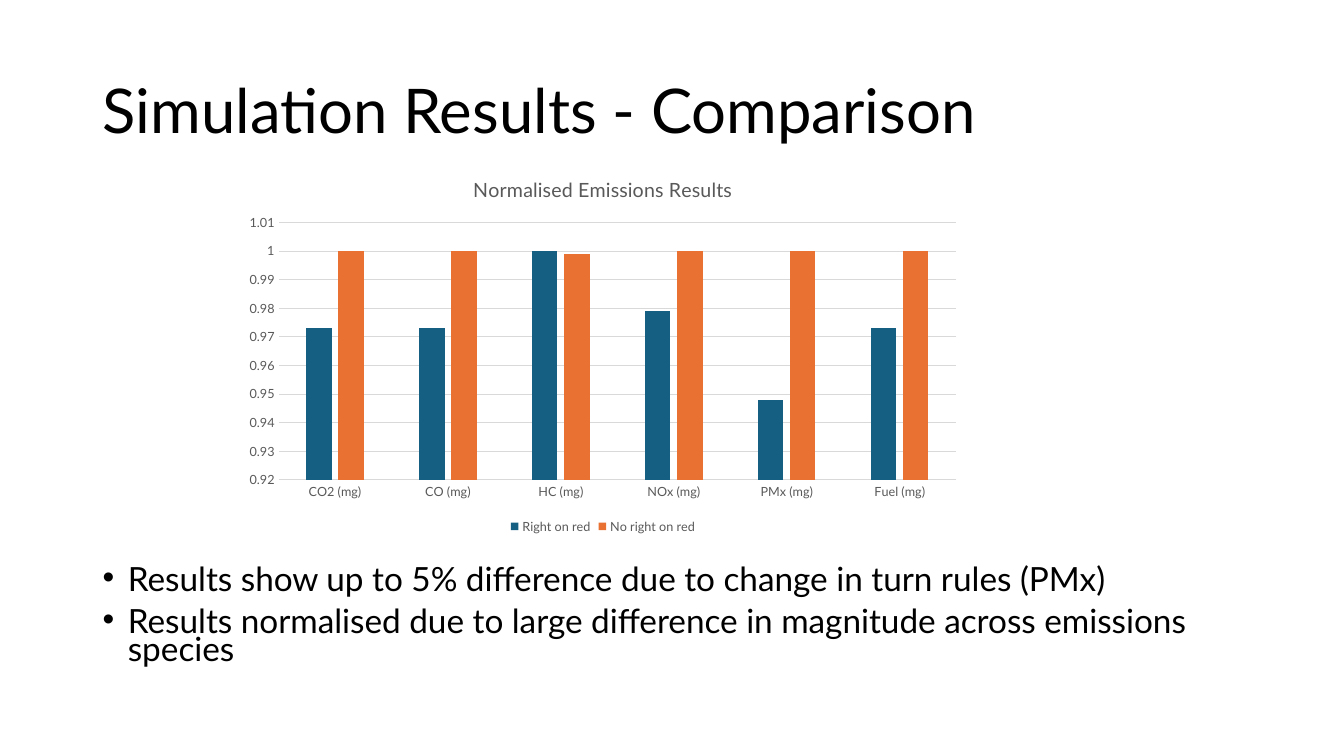
from dataclasses import dataclass

from lxml.etree import SubElement
from pptx import Presentation
from pptx.chart.data import CategoryChartData as ChartData
from pptx.dml.color import RGBColor as Color
from pptx.enum.chart import XL_CHART_TYPE as Kind, XL_LEGEND_POSITION as Place
from pptx.enum.chart import XL_TICK_MARK as Tick
from pptx.enum.text import MSO_ANCHOR as Anchor
from pptx.oxml.ns import qn
from pptx.slide import Slide
from pptx.util import Inches, Pt


@dataclass(frozen=True)
class Theme:
    face: str = "Lato"
    ink: str = "000000"
    gray: str = "595959"
    grid: str = "D9D9D9"
    title: float = 44
    body: float = 23.8
    head: float = 14
    label: float = 9


@dataclass(frozen=True)
class Box:
    left: float
    top: float
    width: float
    height: float

    def place(self) -> tuple:
        return tuple(map(Inches, (self.left, self.top, self.width, self.height)))


@dataclass(frozen=True)
class Series:
    name: str
    color: str
    values: tuple[float, ...]


THEME = Theme()
TITLE = "Simulation Results - Comparison"
POINTS = (
    "Results show up to 5% difference due to change in turn rules (PMx)",
    "Results normalised due to large difference in magnitude across emissions species",
)
GASES = [f"{gas} (mg)" for gas in ("CO2", "CO", "HC", "NOx", "PMx", "Fuel")]
RULES = (
    Series("Right on red", "156082", (0.973, 0.973, 1, 0.979, 0.948, 0.973)),
    Series("No right on red", "E97132", (1, 1, 0.999, 1, 1, 1)),
)


def style(font, size: float, color: str) -> None:
    font.name = THEME.face
    font.size = Pt(size)
    font.color.rgb = Color.from_string(color)


def rule(line) -> None:
    line.color.rgb = Color.from_string(THEME.grid)
    line.width = Pt(0.75)


def add_bullet(para) -> None:
    props = para._p.get_or_add_pPr()
    props.set("marL", str(Inches(0.25)))
    props.set("indent", str(Inches(-0.25)))
    SubElement(props, qn("a:buFont"), typeface="Arial")
    SubElement(props, qn("a:buChar"), char="•")


def add_text(slide: Slide, box: Box, lines: tuple[str, ...], size: float,
             pitch: float, anchor: Anchor, bullet: bool = False) -> None:
    frame = slide.shapes.add_textbox(*box.place()).text_frame
    frame.word_wrap = True
    frame.vertical_anchor = anchor
    frame.text = "\n".join(lines)
    for i, para in enumerate(frame.paragraphs):
        if bullet:
            add_bullet(para)
        para.line_spacing = pitch
        if i:
            para.space_before = Pt(10)
        for run in para.runs:
            style(run.font, size, THEME.ink)


def add_bars(slide: Slide, box: Box) -> None:
    data = ChartData()
    data.categories = GASES
    for item in RULES:
        data.add_series(item.name, item.values)
    chart = slide.shapes.add_chart(Kind.COLUMN_CLUSTERED, *box.place(), data).chart
    style(chart.font, THEME.label, THEME.gray)

    chart.has_title = True
    head = chart.chart_title.text_frame
    head.text = "Normalised Emissions Results"
    font = head.paragraphs[0].runs[0].font
    style(font, THEME.head, THEME.gray)
    font.bold = False

    chart.has_legend = True
    chart.legend.position = Place.BOTTOM
    chart.legend.include_in_layout = False
    style(chart.legend.font, THEME.label, THEME.gray)

    for axis in (chart.category_axis, chart.value_axis):
        axis.major_tick_mark = axis.minor_tick_mark = Tick.NONE
        style(axis.tick_labels.font, THEME.label, THEME.gray)
    rule(chart.category_axis.format.line)
    scale = chart.value_axis
    scale.minimum_scale, scale.maximum_scale, scale.major_unit = 0.92, 1.01, 0.01
    scale.format.line.fill.background()
    rule(scale.major_gridlines.format.line)

    plot = chart.plots[0]
    plot.gap_width, plot.overlap = 219, -27
    plot.vary_by_categories = False
    for item, bars in zip(RULES, plot.series):
        bars.format.fill.solid()
        bars.format.fill.fore_color.rgb = Color.from_string(item.color)


def main() -> None:
    deck = Presentation()
    deck.slide_width, deck.slide_height = Inches(13.33), Inches(7.5)
    slide = deck.slides.add_slide(deck.slide_layouts[6])
    add_text(slide, Box(0.92, 0.4, 11.5, 1.45), (TITLE,), THEME.title, 0.9, Anchor.MIDDLE)
    add_text(slide, Box(0.92, 5.6, 11.5, 1.16), POINTS, THEME.body, 0.7, Anchor.TOP, True)
    add_bars(slide, Box(2.33, 1.57, 7.3, 3.77))
    deck.save("out.pptx")


if __name__ == "__main__":
    main()
